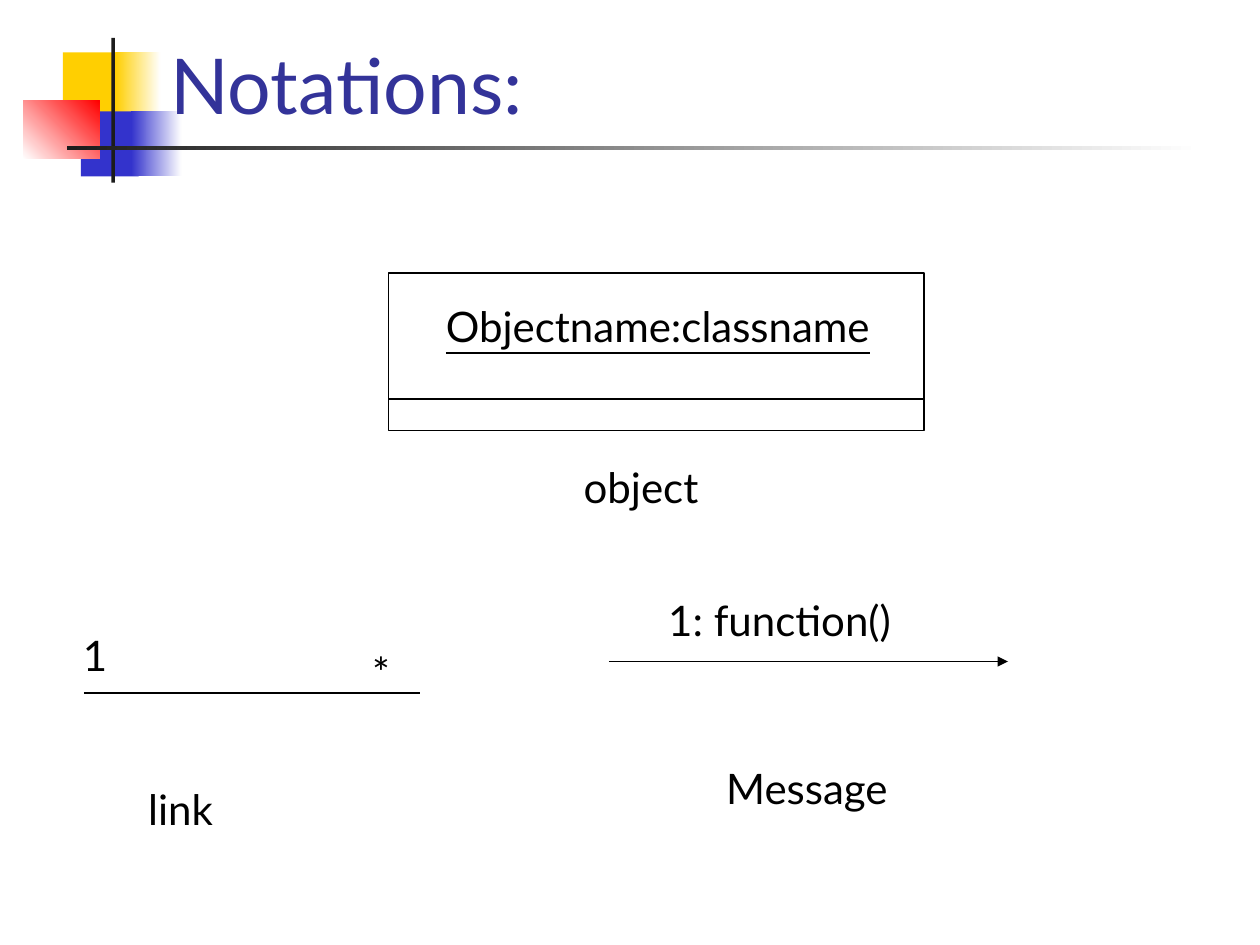
from pptx import Presentation
from pptx.dml.color import RGBColor
from pptx.enum.shapes import MSO_CONNECTOR as Conn, MSO_SHAPE as Shape
from pptx.enum.text import MSO_ANCHOR as Anchor, MSO_AUTO_SIZE as Fit, PP_ALIGN as Align
from pptx.oxml.ns import qn
from pptx.util import Inches, Pt
from lxml.etree import SubElement

FONT = "Lato"
BLACK, WHITE, DARK = "000000", "FFFFFF", "1C1C1C"
GOLD, BLUE, RED, NAVY = "FFCF01", "3333CC", "FF0000", "333399"

# Column, row, width, height, colours (two make a gradient), angle
BARS = [
    (6, 5, 5.8, 6.2, [GOLD], 0),
    (11, 5, 4.3, 6.2, [GOLD, WHITE], 0),
    (7.7, 10.6, 5.5, 6.2, [BLUE], 0),
    (12.5, 10.6, 4.8, 6.2, [BLUE, WHITE], 0),
    (2.2, 9.6, 7.3, 5.5, [WHITE, RED], 45),
    (10.6, 3.6, 0.36, 13.8, [DARK], 0),
    (6.4, 13.9, 108, 0.36, [DARK, WHITE], 0),
]

# Text, column, row, width
LABELS = [
    ("1: function()", 61.9, 56, 24.7),
    ("link", 12.7, 74, 9),
    ("Message", 67.3, 72, 19.1),
    ("object", 54.1, 43.4, 13.9),
    ("1", 6.7, 59.4, 4.7),
    ("*", 34, 61, 4.6),
]


def grid(*cells):
    """The slide is a grid of 120 columns and 90 rows, twelve to the inch."""
    return [Inches(cell / 12) for cell in cells]


def color(code):
    return RGBColor.from_string(code)


def write(para, text, size, code, align, under=None):
    para.alignment = align
    run = para.add_run()
    run.text = text
    font = run.font
    font.name, font.size, font.underline = FONT, Pt(size), under
    font.color.rgb = color(code)


def add_bar(slide, col, row, wide, high, codes, angle):
    bar = slide.shapes.add_shape(Shape.RECTANGLE, *grid(col, row, wide, high))
    bar.shadow.inherit = False
    bar.line.fill.background()
    if len(codes) == 1:
        bar.fill.solid()
        bar.fill.fore_color.rgb = color(codes[0])
        return
    bar.fill.gradient()
    bar.fill.gradient_angle = angle
    for stop, code, place in zip(bar.fill.gradient_stops, codes, (0, 1)):
        stop.color.rgb = color(code)
        stop.position = place


def add_title(slide, text):
    title = slide.shapes.title
    title.left, title.top, title.width, title.height = grid(15, 2, 102.4, 11)
    frame = title.text_frame
    frame.auto_size, frame.vertical_anchor = Fit.NONE, Anchor.BOTTOM
    write(frame.paragraphs[0], text, 44, NAVY, Align.LEFT)
    # Bring the title in front of the bars
    slide.shapes._spTree.append(title._element)


def add_frame(slide, col, row, wide, high):
    box = slide.shapes.add_shape(Shape.RECTANGLE, *grid(col, row, wide, high))
    box.shadow.inherit = False
    box.fill.background()
    box.line.color.rgb = color(BLACK)
    box.line.width = Pt(0.75)


def add_rule(slide, start, end, row, arrow=False):
    rule = slide.shapes.add_connector(Conn.STRAIGHT, *grid(start, row, end, row))
    rule.line.color.rgb = color(BLACK)
    rule.line.width = Pt(0.75)
    if arrow:
        SubElement(rule.line._get_or_add_ln(), qn("a:tailEnd"), type="triangle")
    SubElement(rule._element.spPr, qn("a:effectLst"))


def add_label(slide, text, col, row, wide, under=None):
    frame = slide.shapes.add_textbox(*grid(col, row, wide, 6)).text_frame
    frame.word_wrap, frame.auto_size = False, Fit.SHAPE_TO_FIT_TEXT
    write(frame.paragraphs[0], text, 24, BLACK, Align.CENTER, under)


def main():
    deck = Presentation()
    deck.slide_width, deck.slide_height = grid(120, 90)
    slide = deck.slides.add_slide(deck.slide_layouts[5])

    # Corner ornament and title
    for bar in BARS:
        add_bar(slide, *bar)
    add_title(slide, "Notations:")

    # Object box with its divider
    add_frame(slide, 37, 26, 51, 15)
    add_rule(slide, 37, 88, 38)
    add_label(slide, "Objectname:classname", 39.6, 28, 46.1, under=True)

    # Link line, message arrow and captions
    add_rule(slide, 8, 40, 66)
    add_rule(slide, 58, 96, 63, arrow=True)
    for label in LABELS:
        add_label(slide, *label)

    deck.save("out.pptx")


if __name__ == "__main__":
    main()
